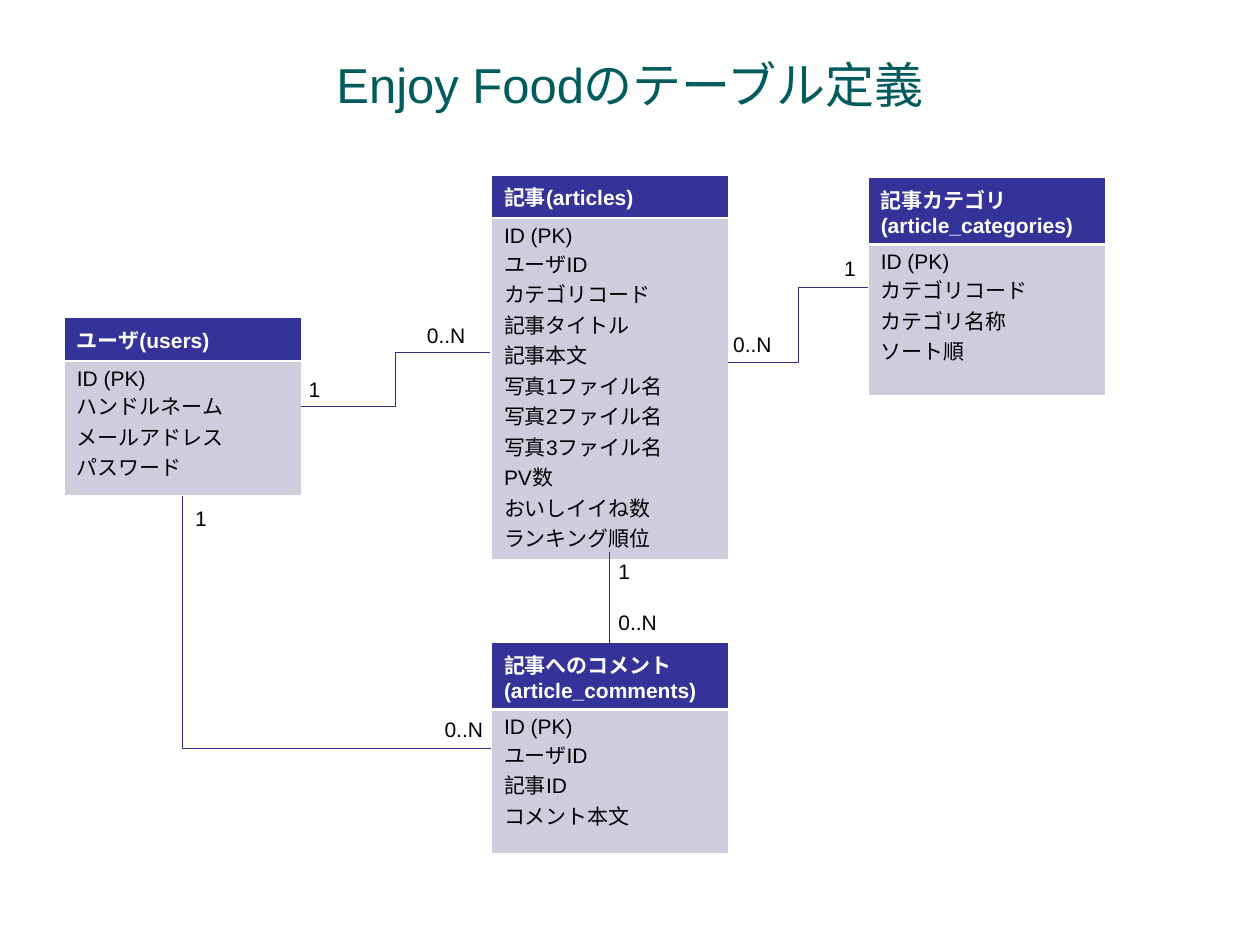
from lxml import etree
from pptx import Presentation
from pptx import util as u
from pptx.dml import color
from pptx.enum import shapes, text
from pptx.oxml import ns

HEAD = dict(size=u.Pt(12), name="Arial", bold=True, tint="FFFFFF")
BODY = dict(HEAD, bold=False, tint="000000")
TITLE = dict(BODY, size=u.Pt(28), tint="005C5C")
WIDE = 1.88


def paint(part, tint):
    part.rgb = color.RGBColor.from_string(tint)


def style(obj, form):
    for key, val in form.items():
        if key == "tint":
            paint(obj.color, val)
        else:
            setattr(obj, key, val)


def write(frame, lines, form, align=text.PP_ALIGN.LEFT):
    for n, line in enumerate(lines):
        para = frame.paragraphs[0] if n == 0 else frame.add_paragraph()
        para.alignment = align
        run = para.add_run()
        run.text = line
        style(run.font, form)


def border(cell, sides):
    props = cell._tc.get_or_add_tcPr()
    for n, (side, wide) in enumerate(sides.items()):
        line = etree.Element(ns.qn("a:ln" + side), w=str(u.Pt(wide)))
        fill = etree.SubElement(line, ns.qn("a:solidFill"))
        etree.SubElement(fill, ns.qn("a:srgbClr"), val="FFFFFF")
        props.insert(n, line)


def title(slide, box, words):
    shape = slide.shapes.title
    for key, val in zip(("left", "top", "width", "height"), box):
        setattr(shape, key, u.Inches(val))
    shape.text_frame.vertical_anchor = text.MSO_ANCHOR.MIDDLE
    write(shape.text_frame, [words], TITLE, text.PP_ALIGN.CENTER)


def entity(slide, box, rows, name, fields):
    left, top, high = map(u.Inches, box)
    frame = slide.shapes.add_table(2, 1, left, top, u.Inches(WIDE), high)
    table = frame.table
    table.horz_banding = False
    looks = (([name], HEAD, "333399", dict(L=.45, R=.45, T=.45, B=1.47)),
             (fields, BODY, "CDCDDE", dict(L=.45, R=.45, T=1.47, B=.45)))
    for n, (lines, form, tint, sides) in enumerate(looks):
        table.rows[n].height = u.Inches(rows[n])
        cell = table.cell(n, 0)
        cell.fill.solid()
        paint(cell.fill.fore_color, tint)
        border(cell, sides)
        write(cell.text_frame, lines, form)
    frame.height = high
    return frame


def link(slide, kind, start, end):
    line = slide.shapes.add_connector(kind, *map(u.Inches, start + end))
    line.line.width = u.Pt(0.5)
    paint(line.line.color, "2D2D8A")
    etree.SubElement(line._element.spPr, ns.qn("a:effectLst"))
    return line


def label(slide, box, words):
    frame = slide.shapes.add_textbox(*map(u.Inches, box)).text_frame
    frame.word_wrap = True
    write(frame, [words], BODY)


def links(slide, posts, comments):
    elbow = shapes.MSO_CONNECTOR.ELBOW
    corner = link(slide, elbow, (3.9, 5.94), (1.45, 3.94))
    corner._element.spPr.find(ns.qn("a:prstGeom")).set("prst", "bentConnector2")
    link(slide, elbow, (2.39, 3.23), (3.89, 2.8))
    link(slide, elbow, (5.78, 2.88), (6.89, 2.28))
    stem = link(slide, shapes.MSO_CONNECTOR.STRAIGHT, (4.84, 5.1), (4.84, 4.38))
    stem.begin_connect(comments, 0)
    stem.end_connect(posts, 2)
    for left, top, wide, words in (
            (2.35, 2.94, 0.31, "1"), (3.29, 2.51, 0.6, "0..N"),
            (3.43, 5.64, 0.59, "0..N"), (1.45, 3.96, 0.31, "1"),
            (6.6, 1.98, 0.31, "1"), (5.72, 2.58, 0.62, "0..N"),
            (4.81, 4.38, 0.43, "1"), (4.81, 4.79, 0.82, "0..N")):
        label(slide, (left, top, wide, 0.3), words)


def main():
    deck = Presentation()
    deck.slide_width, deck.slide_height = u.Inches(10), u.Inches(7.5)
    slide = deck.slides.add_slide(deck.slide_layouts[5])
    title(slide, (0.75, 0.25, 8.5, 0.83), "Enjoy Foodのテーブル定義")
    entity(slide, (0.51, 2.52, 1.42), (0.34, 1.07), "ユーザ(users)",
           ["ID (PK)", "ハンドルネーム", "メールアドレス", "パスワード"])
    photos = [f"写真{n}ファイル名" for n in (1, 2, 3)]
    posts = entity(slide, (3.9, 1.39, 2.99), (0.34, 2.7), "記事(articles)",
                   ["ID (PK)", "ユーザID", "カテゴリコード", "記事タイトル",
                    "記事本文", *photos, "PV数", "おいしイイね数",
                    "ランキング順位"])
    comments = entity(slide, (3.9, 5.1, 1.67), (0.53, 1.14),
                      "記事へのコメント(article_comments)",
                      ["ID (PK)", "ユーザID", "記事ID", "コメント本文"])
    entity(slide, (6.89, 1.41, 1.73), (0.53, 1.2),
           "記事カテゴリ(article_categories)",
           ["ID (PK)", "カテゴリコード", "カテゴリ名称", "ソート順"])
    links(slide, posts, comments)
    deck.save("out.pptx")


if __name__ == "__main__":
    main()
